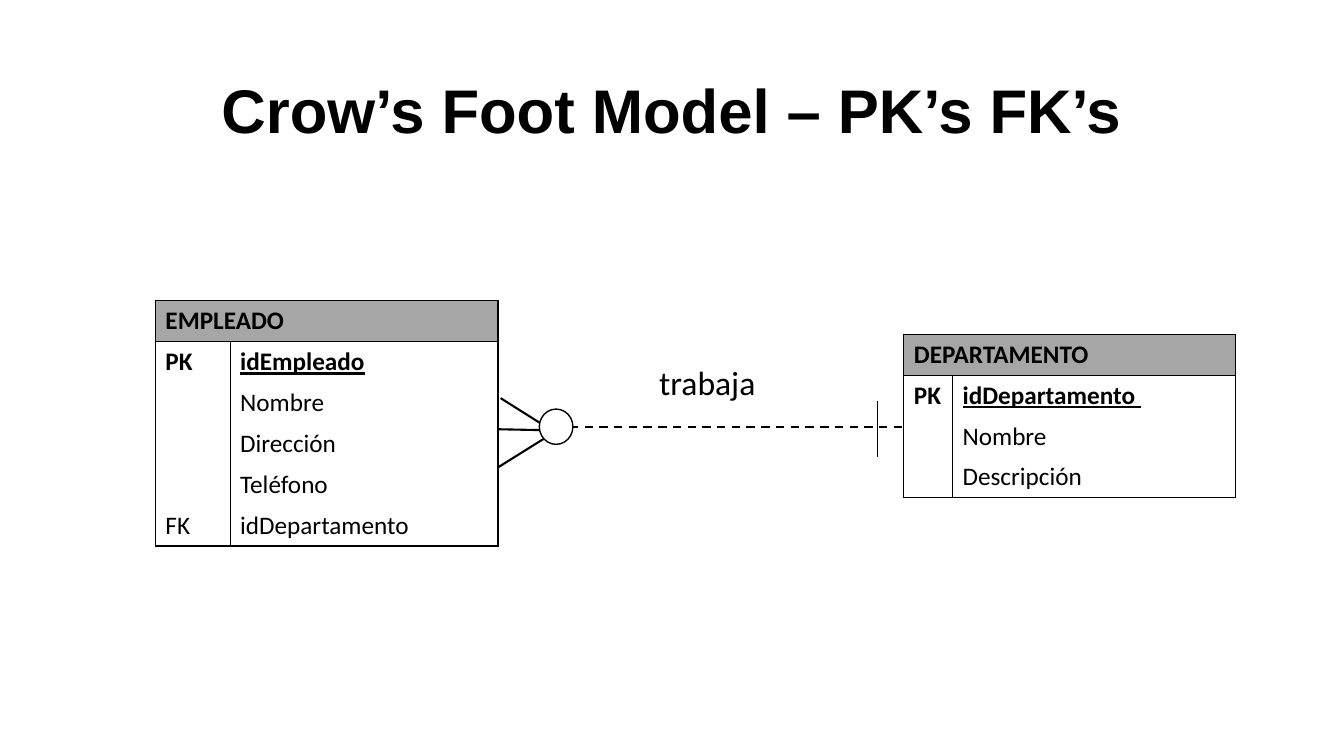
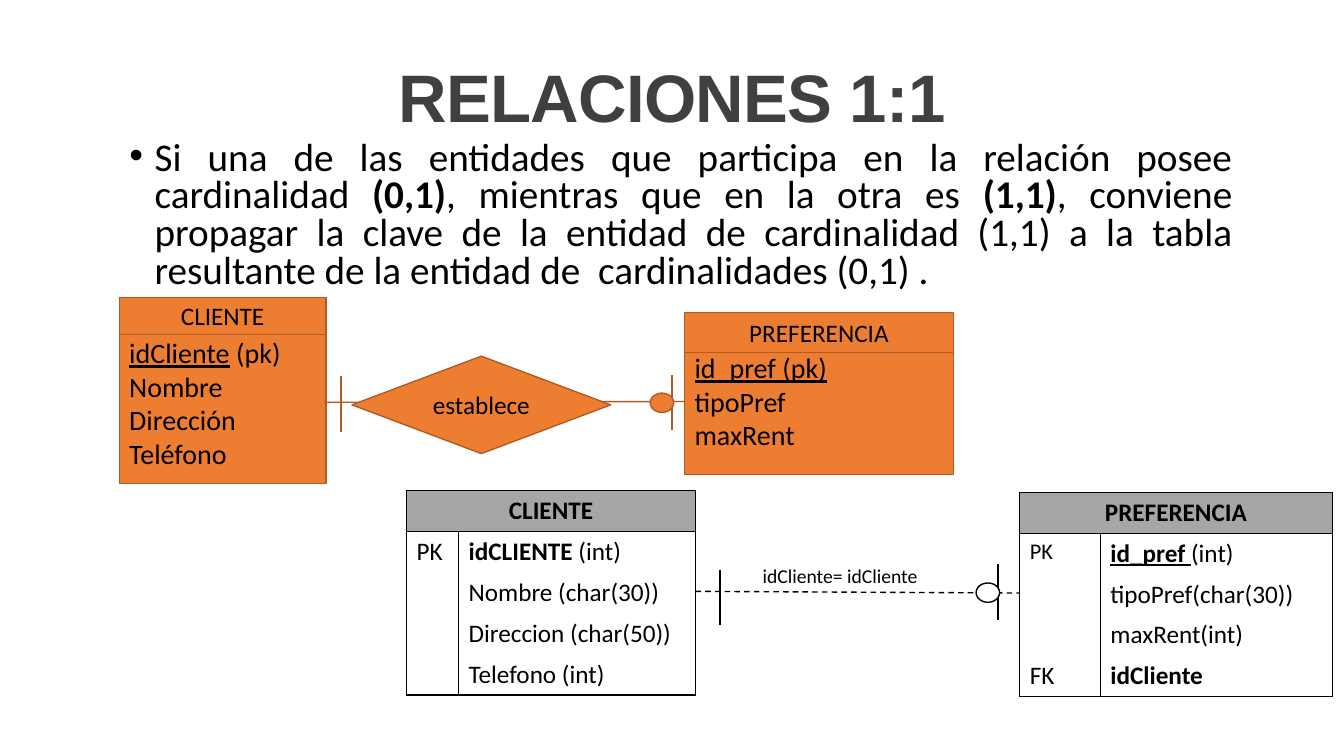
from pptx import Presentation
from pptx import util as u
from pptx.dml.color import RGBColor
from pptx.enum import dml, shapes, text
from pptx.oxml import xmlchemy

COLORS = {
    "ink": "000000",
    "title": "404040",
    "paper": "FFFFFF",
    "header": "A6A6A6",
    "entity": "ED7D31",
    "entity_line": "AF5C24",
}
MARKS = {"b": "bold", "u": "underline"}
ALIGN = text.PP_ALIGN
ANCHOR = text.MSO_ANCHOR
SHAPE = shapes.MSO_SHAPE


def color(name):
    return RGBColor.from_string(COLORS[name])


def apply(target, values):
    for name, value in values.items():
        setattr(target, name, value)


class Deck:
    columns, rows = 80, 45
    table_row = 2.43
    bar_height = 3.3
    font = "Calibri"
    title_font = "Arial"

    def __init__(self):
        self.presentation = Presentation()
        apply(self.presentation, {"slide_width": u.Inches(13.333), "slide_height": u.Inches(7.5)})
        self.slide = None

    def x(self, columns):
        return round(self.presentation.slide_width * columns / self.columns)

    def y(self, rows):
        return round(self.presentation.slide_height * rows / self.rows)

    def box(self, left, top, width, height):
        return self.x(left), self.y(top), self.x(width), self.y(height)

    def add_slide(self, layout):
        self.slide = self.presentation.slides.add_slide(self.presentation.slide_layouts[layout])

    def place(self, shape, box):
        apply(shape, dict(zip(("left", "top", "width", "height"), self.box(*box))))

    def set_text(self, frame, paragraphs, size, ink="ink", font=None, marks="", **layout):
        for index, runs in enumerate(paragraphs):
            paragraph = frame.add_paragraph() if index else frame.paragraphs[0]
            apply(paragraph, {"space_before": u.Pt(0), "alignment": ALIGN.LEFT, **layout})
            for item in [runs] if isinstance(runs, str) else runs:
                words, own = (item, marks) if isinstance(item, str) else item
                run = paragraph.add_run()
                run.text = words
                apply(run.font, {"name": font or self.font, "size": u.Pt(size)})
                apply(run.font, {name: mark in own for mark, name in MARKS.items()})
                run.font.color.rgb = color(ink)

    def title(self, words, box, size, ink="ink", anchor=ANCHOR.MIDDLE, line_spacing=0.9, tracking=0):
        shape = self.slide.shapes.title
        self.place(shape, box)
        frame = shape.text_frame
        apply(frame, {"vertical_anchor": anchor, "word_wrap": True, "auto_size": text.MSO_AUTO_SIZE.NONE})
        self.set_text(frame, [words], size, ink, self.title_font, "b",
                      alignment=ALIGN.CENTER, line_spacing=line_spacing)
        if tracking:
            run = frame.paragraphs[0].runs[0]
            run._r.get_or_add_rPr().set("spc", str(round(tracking * 100)))

    def bullets(self, paragraphs, box, size):
        shape = self.slide.placeholders[1]
        self.place(shape, box)
        frame = shape.text_frame
        apply(frame, {"vertical_anchor": ANCHOR.TOP, "word_wrap": True,
                      "auto_size": text.MSO_AUTO_SIZE.NONE})
        self.set_text(frame, paragraphs, size, alignment=ALIGN.JUSTIFY, line_spacing=0.8)
        for paragraph in frame.paragraphs:
            properties = paragraph._p.get_or_add_pPr()
            indent = u.Inches(0.25)
            properties.set("marL", str(indent))
            properties.set("indent", str(-indent))
            bullet = xmlchemy.OxmlElement("a:buChar")
            bullet.set("char", "•")
            properties.append(bullet)

    def label(self, words, box, size):
        frame = self.slide.shapes.add_textbox(*self.box(*box)).text_frame
        frame.word_wrap = True
        self.set_text(frame, [words], size)

    def shape(self, kind, box, fill="entity", line="entity_line", paragraphs=(), size=18,
              alignment=ALIGN.CENTER):
        shape = self.slide.shapes.add_shape(kind, *self.box(*box))
        shape.shadow.inherit = False
        shape.fill.solid()
        shape.fill.fore_color.rgb = color(fill)
        shape.line.color.rgb = color(line)
        shape.line.width = u.Pt(1)
        shape.text_frame.vertical_anchor = ANCHOR.MIDDLE
        self.set_text(shape.text_frame, paragraphs, size, alignment=alignment)

    def line(self, start, end, ink="ink", width=1, dashed=False):
        connector = self.slide.shapes.add_connector(
            shapes.MSO_CONNECTOR.STRAIGHT,
            self.x(start[0]), self.y(start[1]), self.x(end[0]), self.y(end[1]))
        connector.line.color.rgb = color(ink)
        connector.line.width = u.Pt(width)
        if dashed:
            connector.line.dash_style = dml.MSO_LINE.DASH
        connector._element.spPr.append(xmlchemy.OxmlElement("a:effectLst"))

    def bar(self, left, top, ink="ink", width=1):
        self.line((left, top), (left, top + self.bar_height), ink, width)

    def entity(self, name, attributes, left, top, width, header, body_top, body):
        self.shape(SHAPE.RECTANGLE, (left, body_top, width, body), paragraphs=attributes,
                   size=20, alignment=ALIGN.LEFT)
        self.shape(SHAPE.RECTANGLE, (left, top, width, header), paragraphs=[name])

    def style_cell(self, cell, edges, fill):
        properties = cell._tc.get_or_add_tcPr()
        for edge in "LRTB":
            border = xmlchemy.OxmlElement(f"a:ln{edge}")
            border.set("w", str(u.Pt(1)))
            if edge in edges:
                solid = xmlchemy.OxmlElement("a:solidFill")
                ink = xmlchemy.OxmlElement("a:srgbClr")
                ink.set("val", COLORS["ink"])
                solid.append(ink)
                border.append(solid)
            else:
                border.append(xmlchemy.OxmlElement("a:noFill"))
            properties.append(border)
        cell.fill.solid()
        cell.fill.fore_color.rgb = color(fill)

    def entity_table(self, name, attributes, left, top, widths, alignment=ALIGN.LEFT, key_size=18):
        count = len(attributes) + 1
        box = self.box(left, top, sum(widths), count * self.table_row)
        table = self.slide.shapes.add_table(count, 2, *box).table
        apply(table, {"first_row": False, "horz_banding": False})
        for column, width in zip(table.columns, widths):
            column.width = self.x(width)
        for row in table.rows:
            row.height = self.y(self.table_row)
        for cell in table.rows[0].cells:
            self.style_cell(cell, "LRTB", "header")
        table.cell(0, 0).merge(table.cell(0, 1))
        self.set_text(table.cell(0, 0).text_frame, [name], 18, marks="b", alignment=alignment)
        for index, attribute in enumerate(attributes, 1):
            edges = "LR" + "T" * (index == 1) + "B" * (index == count - 1)
            for column, runs in enumerate(attribute):
                cell = table.cell(index, column)
                self.style_cell(cell, edges, "paper")
                if runs:
                    size = key_size if (index, column) == (1, 0) else 18
                    self.set_text(cell.text_frame, [runs], size)


def crows_foot_slide(deck):
    deck.add_slide(5)
    deck.title("Crow’s Foot Model – PK’s FK’s", (5.5, 2.4, 69, 8.7), 44)
    deck.line((53.7, 25.4), (32.1, 25.4), width=1.5, dashed=True)
    for start, end in [((29.8, 23.7), (32.1, 25.15)), ((29.6, 25.55), (32.1, 25.6)),
                       ((29.6, 27.85), (32.4, 26.1))]:
        deck.line(start, end, width=1.5)
    deck.bar(52.25, 23.9, width=0.5)
    deck.entity_table("EMPLEADO", [
        ([("PK", "b")], [("idEmpleado", "bu")]),
        ("", "Nombre"),
        ("", "Dirección"),
        ("", "Teléfono"),
        ("FK", "idDepartamento"),
    ], 9.25, 17.9, (4.45, 15.95))
    deck.entity_table("DEPARTAMENTO", [
        ([("PK", "b")], [("idDepartamento ", "bu")]),
        ("", "Nombre"),
        ("", "Descripción"),
    ], 53.8, 19.9, (2.9, 16.85))
    deck.label("trabaja", (38.65, 21.25, 7.55, 3), 24)
    deck.shape(SHAPE.OVAL, (32.1, 24.35, 2, 2.1), "paper", "ink")


def one_to_one_slide(deck):
    deck.add_slide(1)
    deck.title("RELACIONES 1:1", (4, 3.7, 72, 7.5), 48, "title", ANCHOR.TOP, 0.85, -0.5)
    deck.bullets([[
        "Si una de las entidades que participa en la relación posee cardinalidad ",
        ("(0,1)", "b"),
        ", mientras que en la otra es ",
        ("(1,1)", "b"),
        ", conviene propagar la clave de la entidad de cardinalidad (1,1) a la tabla "
        "resultante de la entidad de  cardinalidades (0,1) .",
    ]], (7.1, 8.1, 66.85, 10.3), 28)

    deck.entity("CLIENTE", [[("idCliente", "u"), " (pk)"], "Nombre", "Dirección", "Teléfono"],
                7.1, 17.7, 12.3, 2.2, 19.15, 9.65)
    deck.entity("PREFERENCIA", [[("id_pref (pk)", "u")], "tipoPref", "maxRent"],
                40.75, 18.6, 16, 2.4, 19.5, 8.75)
    deck.line((19.3, 23.95), (40.75, 23.9), "entity_line")
    deck.bar(20.3, 22.4, "entity_line")
    deck.bar(40, 22.3, "entity_line")
    deck.shape(SHAPE.OVAL, (38.7, 23.4, 1.4, 1.15))
    deck.shape(SHAPE.DIAMOND, (20.95, 21.2, 15.4, 5.8), paragraphs=["establece"])

    deck.entity_table("CLIENTE", [
        ("PK", [("idCLIENTE", "b"), " (int)"]),
        ("", "Nombre (char(30))"),
        ("", "Direccion (char(50))"),
        ("", "Telefono (int)"),
    ], 24.2, 29.2, (3.1, 14.1), ALIGN.CENTER)
    deck.entity_table("PREFERENCIA", [
        ("PK", [("id_pref", "bu"), (" ", "u"), "(int)"]),
        ("", "tipoPref(char(30))"),
        ("", "maxRent(int)"),
        ("FK", [("idCliente", "b")]),
    ], 60.7, 29.3, (4.8, 13.8), ALIGN.CENTER, key_size=16)
    deck.label("idCliente= idCliente", (44.8, 33.25, 13.55, 2.05), 14)
    deck.line((41.4, 35.2), (60.7, 35.3), dashed=True)
    deck.bar(42.85, 33.9)
    deck.bar(59.4, 33.6)
    deck.shape(SHAPE.OVAL, (58.1, 34.7, 1.4, 1.15), "paper", "ink")


def main():
    deck = Deck()
    crows_foot_slide(deck)
    one_to_one_slide(deck)
    deck.presentation.save("out.pptx")


if __name__ == "__main__":
    main()
